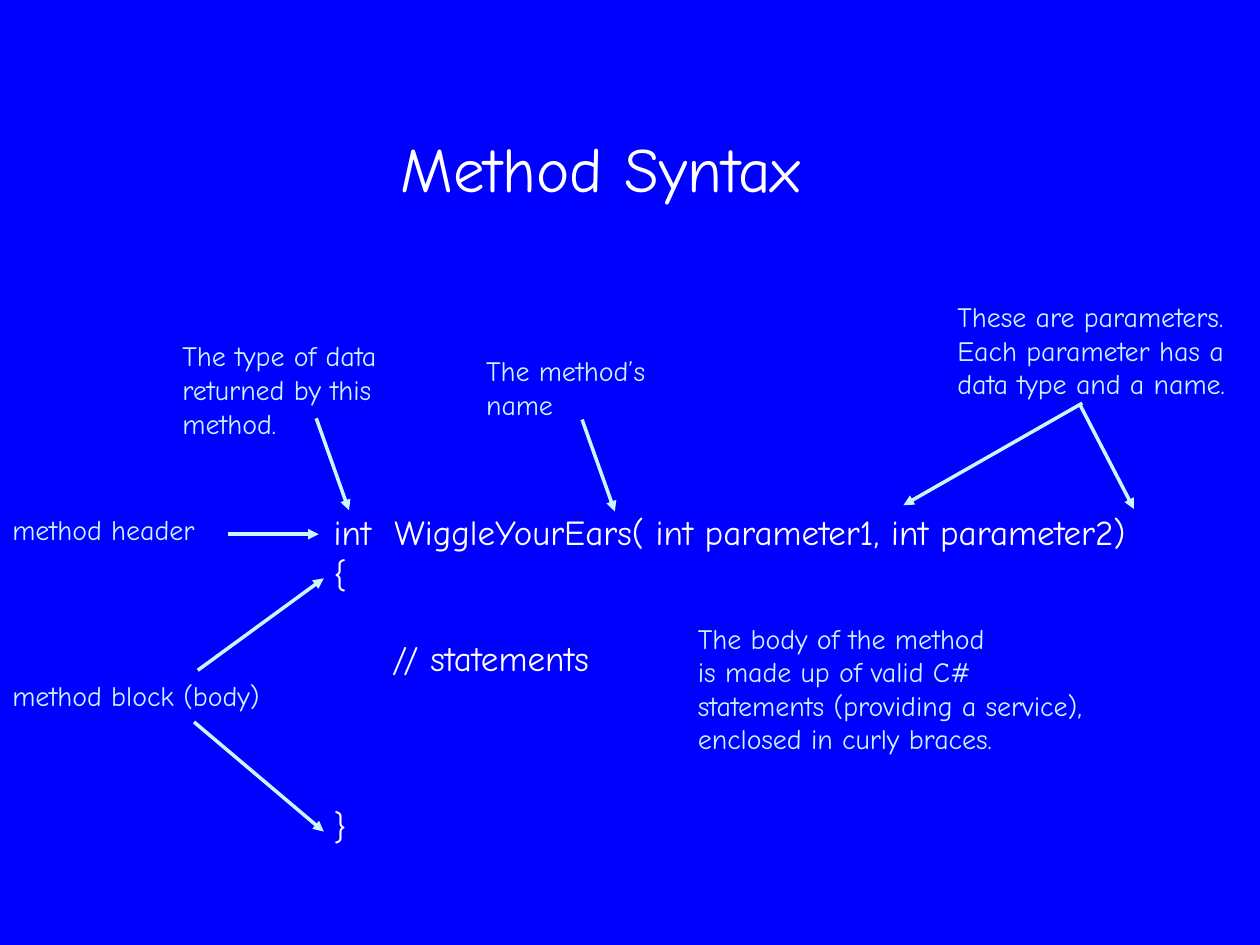
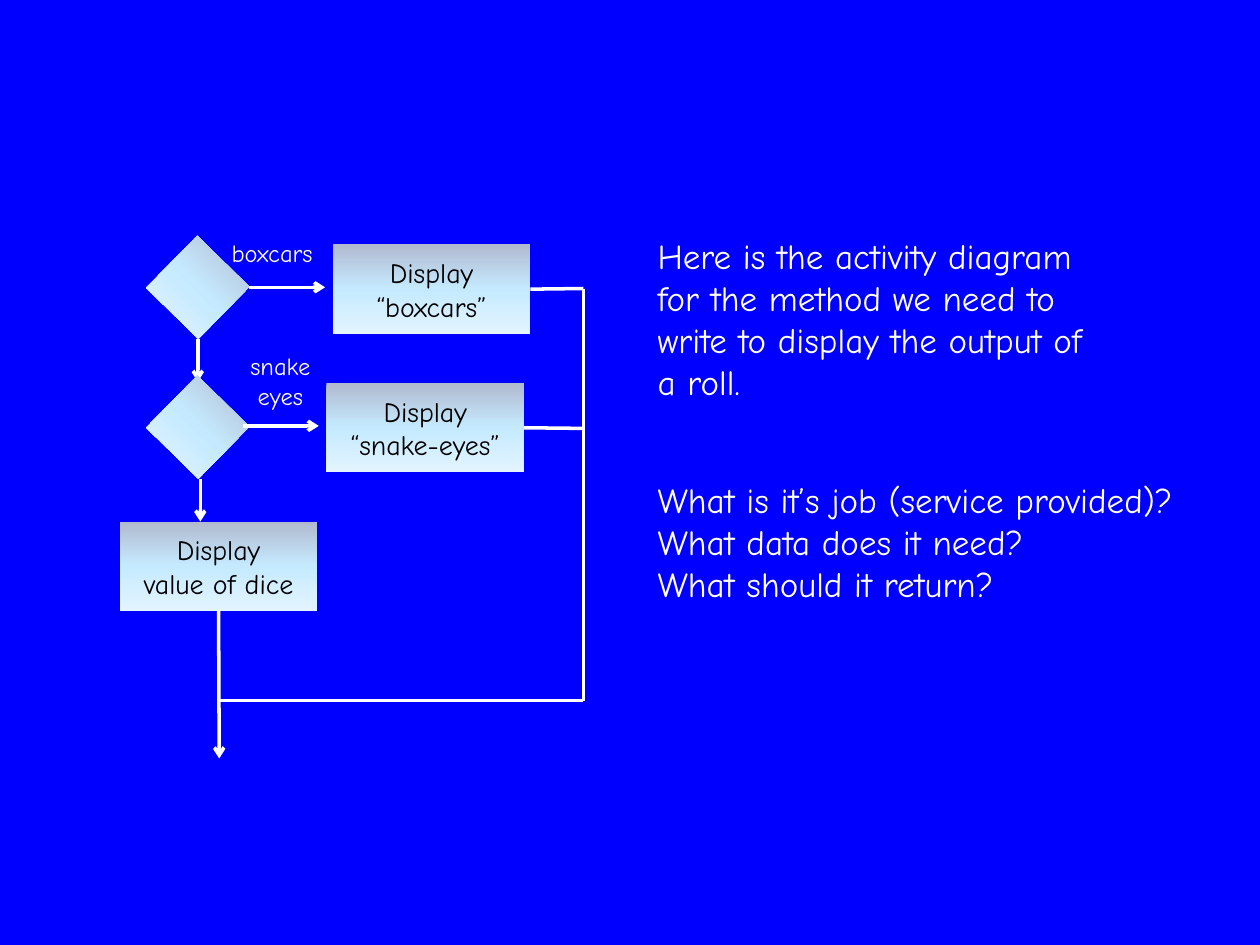
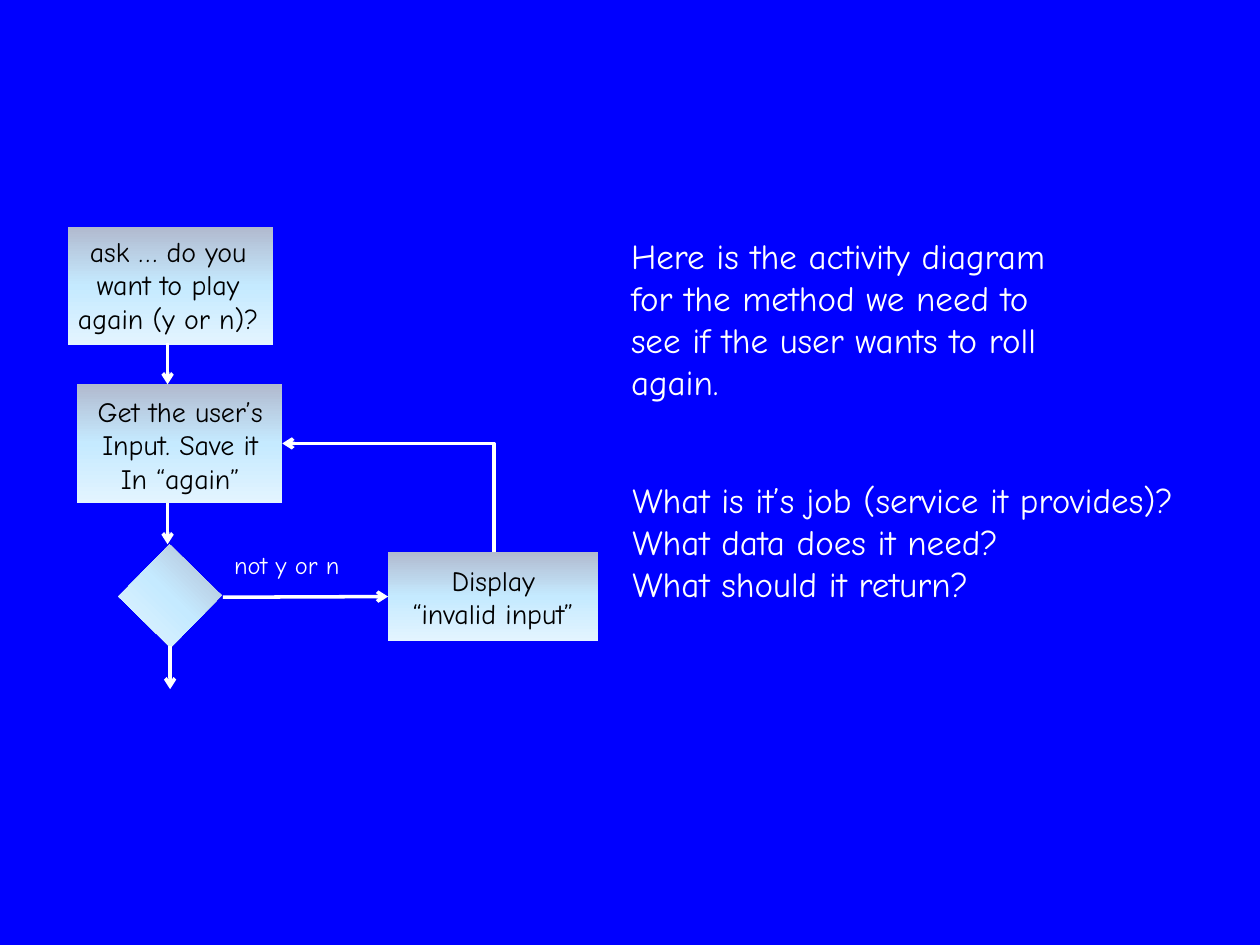
from copy import deepcopy
from dataclasses import dataclass, field

from pptx import Presentation
from pptx import util as u
from pptx.dml.color import RGBColor
from pptx.enum import shapes, text
from pptx.oxml.ns import qn
from pptx.oxml.xmlchemy import OxmlElement

PX = u.Inches(1) // 100
LEFT, BOTTOM, RIGHT = 1, 2, 3


def rgb(code):
    return RGBColor.from_string(code)


@dataclass
class Theme:
    font: str = "Comic Neue"
    background: str = "0000FF"
    white: str = "FFFFFF"
    note: str = "CCF5FF"
    line_width: int = 2
    diamond_side: int = 58
    diamond_turn: float = 44.4
    code_line: int = 24  # points from one code line to the next
    gradient: tuple = ((0, "B1BACF"), (0.5, "C5EAFF"), (1, "E3F4FF"))
    roles: dict = field(default_factory=lambda: {
        "title": (36, "FFFFFF"),
        "body": (20, "FFFFFF"),
        "note": (16, "CCF5FF"),
        "step": (16, "000000"),
        "branch": (14, "FFFFFF"),
    })


class Deck:
    def __init__(self, theme):
        self.theme = theme
        self.prs = Presentation()
        self.prs.slide_width = 1000 * PX
        self.prs.slide_height = 750 * PX
        fill = self.prs.slide_master.background.fill
        fill.solid()
        fill.fore_color.rgb = rgb(theme.background)
        self.slide = None

    def new_slide(self):
        self.slide = self.prs.slides.add_slide(self.prs.slide_layouts[6])

    def set_lines(self, frame, lines, role, centred=False, gaps=None):
        """Fill a frame; gaps maps a line's index to its space before in points."""
        size, colour = self.theme.roles[role]
        frame.text = "\n".join(lines)
        for index, paragraph in enumerate(frame.paragraphs):
            paragraph.alignment = text.PP_ALIGN.CENTER if centred else text.PP_ALIGN.LEFT
            if gaps and index in gaps:
                paragraph.space_before = u.Pt(gaps[index])
            for run in paragraph.runs:
                run.font.color.rgb = rgb(colour)
                values = {"name": self.theme.font, "size": u.Pt(size)}
                for name, value in values.items():
                    setattr(run.font, name, value)

    def label(self, at, lines, role, **style):
        frame = self.slide.shapes.add_textbox(*(n * PX for n in at)).text_frame
        self.set_lines(frame, lines, role, **style)
        frame.word_wrap = False
        frame.auto_size = text.MSO_AUTO_SIZE.SHAPE_TO_FIT_TEXT

    def box(self, at, lines=()):
        """Add a shaded rectangle, with centred step text if there are lines."""
        box = self.slide.shapes.add_shape(
            shapes.MSO_SHAPE.RECTANGLE, *(n * PX for n in at))
        box.shadow.inherit = False
        box.line.fill.background()
        box.fill.gradient()
        box.fill.gradient_angle = 270
        stop_list = box._element.spPr.find(".//" + qn("a:gsLst"))
        stop_list.append(deepcopy(stop_list[-1]))
        for stop, (position, colour) in zip(box.fill.gradient_stops, self.theme.gradient):
            stop.position = position
            stop.color.rgb = rgb(colour)
        if lines:
            box.text_frame.vertical_anchor = text.MSO_ANCHOR.MIDDLE
            self.set_lines(box.text_frame, lines, "step", centred=True)
        return box

    def decision(self, left, top):
        side = self.theme.diamond_side
        self.box((left, top, side, side)).rotation = self.theme.diamond_turn

    def finish_line(self, line, colour, head):
        line.line.color.rgb = rgb(colour)
        line.line.width = u.Pt(self.theme.line_width)
        if head:
            tail = OxmlElement("a:tailEnd")
            tail.set("type", head)
            line._element.spPr.find(qn("a:ln")).append(tail)
        line._element.spPr.append(OxmlElement("a:effectLst"))

    def line(self, start, end, head=None, colour=None, begin=None, finish=None):
        """Draw a straight line; begin and finish are (shape, side) to join."""
        line = self.slide.shapes.add_connector(
            shapes.MSO_CONNECTOR.STRAIGHT, *(n * PX for n in (*start, *end)))
        if begin:
            line.begin_connect(*begin)
        if finish:
            line.end_connect(*finish)
        self.finish_line(line, colour or self.theme.white, head)

    def up_and_left(self, start, end, head):
        """Draw a one-bend line that rises from start, then runs left to end."""
        (x1, y1), (x2, y2) = start, end
        rise, run = y1 - y2, x1 - x2
        left, top = (x1 + x2 - rise) // 2, (y1 + y2 - run) // 2
        line = self.slide.shapes.add_connector(
            shapes.MSO_CONNECTOR.ELBOW,
            *(n * PX for n in (left, top + run, left + rise, top)))
        properties = line._element.spPr
        properties.find(qn("a:prstGeom")).set("prst", "bentConnector2")
        properties.find(qn("a:xfrm")).set("rot", str(270 * 60000))
        self.finish_line(line, self.theme.white, head)

    def task(self, task_at, purpose, questions_at, job):
        """Add the description of a method and the three questions about it."""
        self.label(task_at, ["Here is the activity diagram",
                             "for the method we need to", *purpose], "body")
        self.label(questions_at, [f"What is it’s job ({job})?",
                                  "What data does it need?",
                                  "What should it return?"], "body")


def method_syntax(deck):
    deck.new_slide()
    deck.label((308, 98, 384, 71), ["Method Syntax"], "title")
    pitch = deck.theme.code_line
    deck.label((255, 400, 719, 279),
               ["int  WiggleYourEars( int parameter1, int parameter2)",
                "{", "     // statements", "}"],
               "body", gaps={2: pitch, 3: 3 * pitch})
    notes = [
        ((135, 264, 197, 91), ["The type of data", "returned by this", "method."]),
        ((376, 276, 160, 64), ["The method’s", "name"]),
        ((750, 233, 257, 91), ["These are parameters.", "Each parameter has a",
                               "data type and a name."]),
        ((544, 488, 369, 118), ["The body of the method", "is made up of valid C#",
                                "statements (providing a service),",
                                "enclosed in curly braces."]),
        ((0, 402, 178, 37), ["method header"]),
        ((0, 534, 233, 37), ["method block (body)"]),
    ]
    for at, lines in notes:
        deck.label(at, lines, "note")
    pointers = [
        ((251, 332), (277, 405)), ((462, 333), (488, 406)),
        ((859, 320), (717, 401)), ((857, 321), (900, 404)),
        ((181, 424), (253, 424)),
        ((157, 532), (257, 459)), ((154, 573), (257, 660)),
    ]
    for start, end in pointers:
        deck.line(start, end, "triangle", deck.theme.note)


def display_roll(deck):
    deck.new_slide()
    deck.task((512, 181, 408, 145), ["write to display the output of", "a roll."],
              (512, 375, 482, 111), "service provided")
    merge_x, merge_y, exit_x = 463, 556, 174

    deck.decision(128, 199)
    deck.label((174, 184, 93, 34), ["boxcars"], "branch")
    boxcars = deck.box((264, 194, 157, 71), ["Display", "“boxcars”"])
    deck.line((198, 228), (258, 228), "arrow")
    deck.line((157, 269), (157, 303), "arrow")

    deck.decision(128, 310)
    deck.line((159, 380), (159, 414), "arrow")
    deck.label((187, 274, 71, 57), ["snake", "eyes"], "branch", centred=True)
    snake_eyes = deck.box((259, 304, 157, 71), ["Display", "“snake-eyes”"])
    deck.line((193, 338), (253, 338), "arrow")

    dice = deck.box((95, 414, 157, 71), ["Display", "value of dice"])
    deck.line((421, 229), (merge_x, 229), begin=(boxcars, RIGHT))
    deck.line((merge_x, 229), (merge_x, merge_y))
    deck.line((merge_x, merge_y), (exit_x, merge_y))
    deck.line((exit_x, 485), (exit_x, 602), "arrow", begin=(dice, BOTTOM))
    deck.line((416, 340), (merge_x, 340), begin=(snake_eyes, RIGHT))


def play_again(deck):
    deck.new_slide()
    deck.task((491, 181, 391, 145), ["see if the user wants to roll", "again."],
              (492, 375, 508, 111), "service it provides")
    deck.decision(106, 444)
    deck.label((176, 432, 108, 34), ["not y or n"], "branch")
    invalid = deck.box((308, 438, 167, 71), ["Display", "“invalid input”"])
    deck.line((177, 474), (308, 475), "arrow", finish=(invalid, LEFT))
    deck.line((133, 399), (133, 432), "arrow")

    steps = [
        ((54, 180, 163, 94), (47, 181, 173, 91),
         ["ask … do you", "want to play", "again (y or n)?"]),
        ((61, 305, 163, 94), (59, 308, 168, 91),
         ["Get the user’s", "Input. Save it", "In “again”"]),
    ]
    for box_at, words_at, lines in steps:
        deck.box(box_at)
        deck.label(words_at, lines, "step", centred=True)
    deck.line((135, 513), (135, 547), "arrow")
    deck.up_and_left((392, 438), (224, 352), "arrow")
    deck.line((133, 272), (133, 305), "arrow")


def main():
    deck = Deck(Theme())
    for build in (method_syntax, display_roll, play_again):
        build(deck)
    deck.prs.save("out.pptx")


if __name__ == "__main__":
    main()
